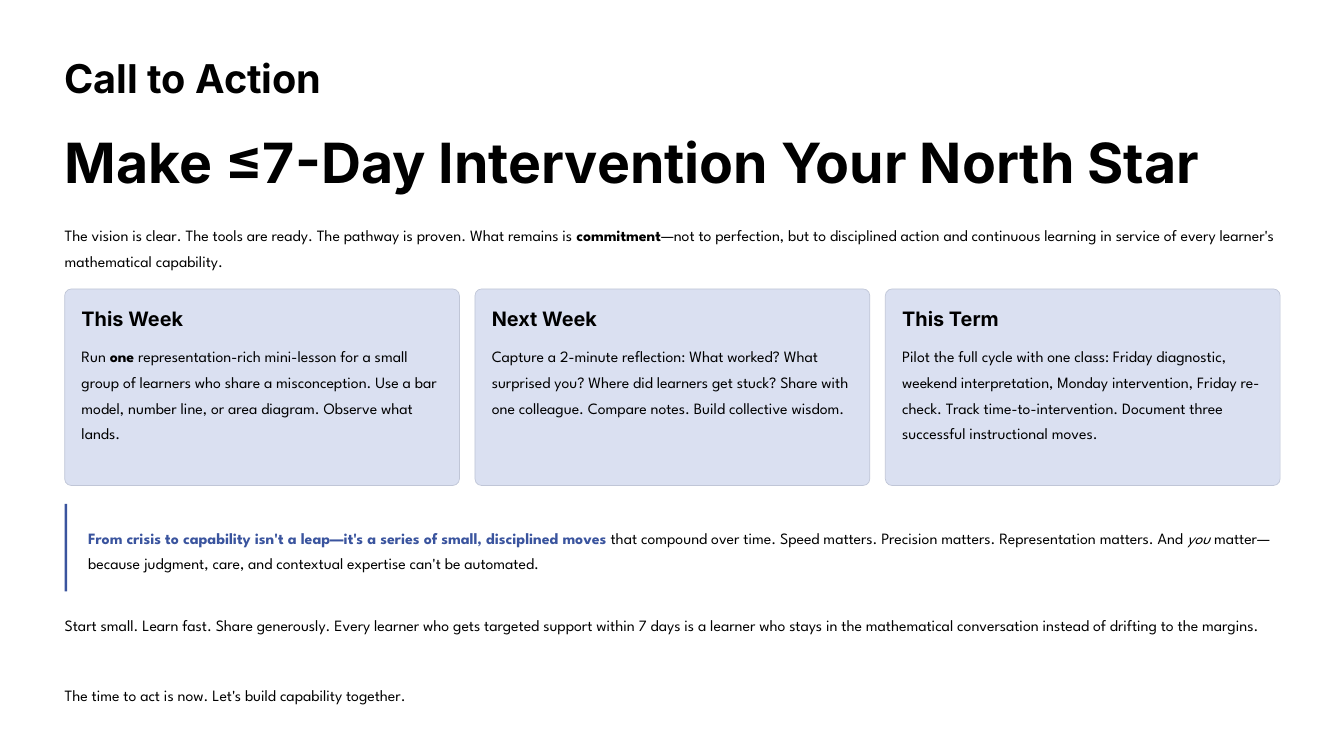
from dataclasses import dataclass

from pptx import Presentation
from pptx.dml.color import RGBColor
from pptx.enum.shapes import MSO_SHAPE
from pptx.enum.text import MSO_ANCHOR, MSO_AUTO_SIZE, PP_ALIGN
from pptx.shapes.autoshape import Shape
from pptx.slide import Slide
from pptx.util import Inches, Pt

WHITE, BLACK, BLUE, PALE, EDGE = "FFFFFF", "000000", "3A549E", "DAE0F1", "C0C6D7"
LEFT, WIDE = 0.77, 14.47
CARD_TOP, CARD_W, CARD_H = 3.44, 4.7, 2.34
PAD = 0.2


@dataclass
class Run:
    text: str
    bold: bool = False
    italic: bool = False
    color: str = BLACK


@dataclass
class Card:
    head: str
    body: list[Run]
    height: float = 1.22


CARDS = [
    Card("This Week", [
        Run("Run "), Run("one", bold=True),
        Run(" representation-rich mini-lesson for a small group of learners who share "
            "a misconception. Use a bar model, number line, or area diagram. "
            "Observe what lands.")]),
    Card("Next Week", [
        Run("Capture a 2-minute reflection: What worked? What surprised you? Where did "
            "learners get stuck? Share with one colleague. Compare notes. "
            "Build collective wisdom.")]),
    Card("This Term", [
        Run("Pilot the full cycle with one class: Friday diagnostic, weekend "
            "interpretation, Monday intervention, Friday re-check. Track "
            "time-to-intervention. Document three successful instructional moves.")],
        height=1.53),
]
STEP = (WIDE - CARD_W) / (len(CARDS) - 1)

INTRO = [
    Run("The vision is clear. The tools are ready. The pathway is proven. What remains is "),
    Run("commitment", bold=True),
    Run("—not to perfection, but to disciplined action and continuous learning in service "
        "of every learner's mathematical capability."),
]
QUOTE = [
    Run("From crisis to capability isn't a leap—it's a series of small, disciplined moves",
        bold=True, color=BLUE),
    Run(" that compound over time. Speed matters. Precision matters. "
        "Representation matters. And "),
    Run("you", italic=True),
    Run(" matter—because judgment, care, and contextual expertise can't be automated."),
]
START = [Run("Start small. Learn fast. Share generously. Every learner who gets targeted "
             "support within 7 days is a learner who stays in the mathematical conversation "
             "instead of drifting to the margins.")]
CLOSE = [Run("The time to act is now. Let's build capability together.")]


def rgb(code: str) -> RGBColor:
    return RGBColor.from_string(code)


def place(shape: Shape, x: float, y: float, w: float, h: float) -> None:
    shape.left, shape.top = Inches(x), Inches(y)
    shape.width, shape.height = Inches(w), Inches(h)


def write(shape: Shape, runs: list[Run], *, size: float = 13.5, lead: float = 22,
          font: str = "League Spartan", wrap: bool = True) -> None:
    """Fill a shape with one left-aligned paragraph of mixed runs."""
    frame = shape.text_frame
    frame.auto_size = MSO_AUTO_SIZE.NONE
    frame.word_wrap = wrap
    frame.vertical_anchor = MSO_ANCHOR.TOP
    frame.margin_left = frame.margin_right = frame.margin_top = frame.margin_bottom = 0
    para = frame.paragraphs[0]
    para.alignment = PP_ALIGN.LEFT
    para.line_spacing = Pt(lead)
    for item in runs:
        run = para.add_run()
        run.text = item.text
        run.font.name, run.font.size = font, Pt(size)
        run.font.bold, run.font.italic = item.bold, item.italic
        run.font.color.rgb = rgb(item.color)


def label(slide: Slide, runs: list[Run], x: float, y: float, w: float, h: float,
          **form) -> None:
    box = slide.shapes.add_textbox(0, 0, 0, 0)
    place(box, x, y, w, h)
    write(box, runs, **form)


def block(slide: Slide, kind: MSO_SHAPE, x: float, y: float, w: float, h: float,
          fill: str) -> Shape:
    shape = slide.shapes.add_shape(kind, Inches(x), Inches(y), Inches(w), Inches(h))
    shape.shadow.inherit = False
    shape.fill.solid()
    shape.fill.fore_color.rgb = rgb(fill)
    shape.line.fill.background()
    return shape


def panel(slide: Slide, card: Card, x: float) -> None:
    """Draw one action card with its heading and body."""
    shape = block(slide, MSO_SHAPE.ROUNDED_RECTANGLE, x, CARD_TOP, CARD_W, CARD_H, PALE)
    shape.adjustments[0] = 0.034
    shape.line.color.rgb = rgb(EDGE)
    shape.line.width = Pt(0.6)
    label(slide, [Run(card.head, bold=True)], x + PAD, CARD_TOP + PAD, 2.39, 0.3,
          size=17, lead=21.5, font="Inter", wrap=False)
    label(slide, card.body, x + PAD, CARD_TOP + 0.61, CARD_W - 2 * PAD, card.height)


def main() -> None:
    deck = Presentation()
    deck.slide_width, deck.slide_height = Inches(16), Inches(9)
    slide = deck.slides.add_slide(deck.slide_layouts[5])
    slide.background.fill.solid()
    slide.background.fill.fore_color.rgb = rgb(WHITE)

    label(slide, [Run("Call to Action", bold=True)], LEFT, 0.61, 4.78, 0.6,
          size=34, lead=43, font="Inter", wrap=False)
    title = slide.shapes.title
    place(title, LEFT, 1.5, 13.8, 0.82)
    write(title, [Run("Make ≤7-Day Intervention Your North Star", bold=True)],
          size=47.5, lead=59, font="Inter")

    label(slide, INTRO, LEFT, 2.61, WIDE, 0.61)
    for i, card in enumerate(CARDS):
        panel(slide, card, LEFT + i * STEP)

    block(slide, MSO_SHAPE.RECTANGLE, LEFT, 6, 0.03, 1.04, BLUE)
    label(slide, QUOTE, 1.05, 6.21, 14.18, 0.61)
    label(slide, START, LEFT, 7.25, WIDE, 0.61)
    label(slide, CLOSE, LEFT, 8.08, WIDE, 0.31, wrap=False)
    deck.save("out.pptx")


if __name__ == "__main__":
    main()
